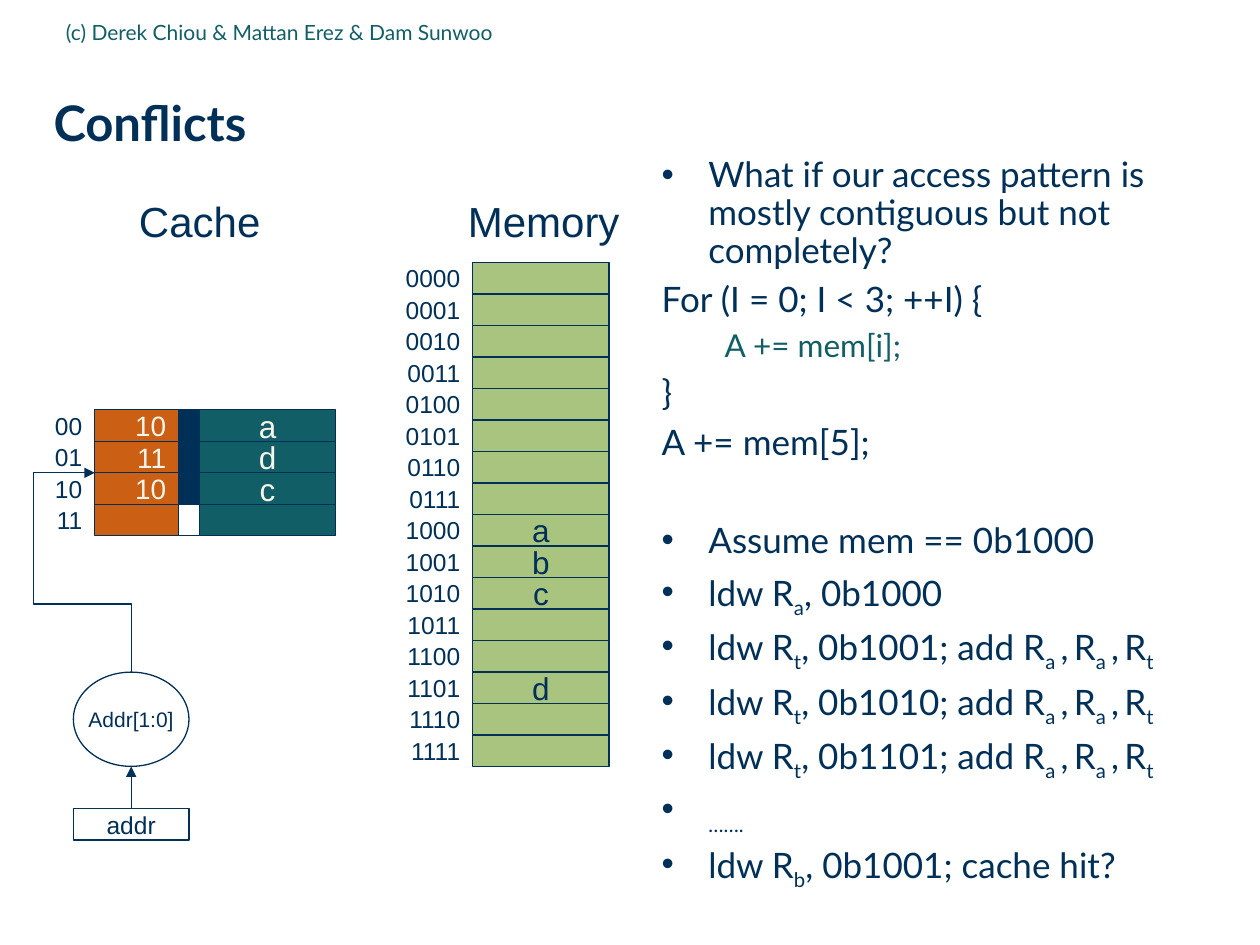
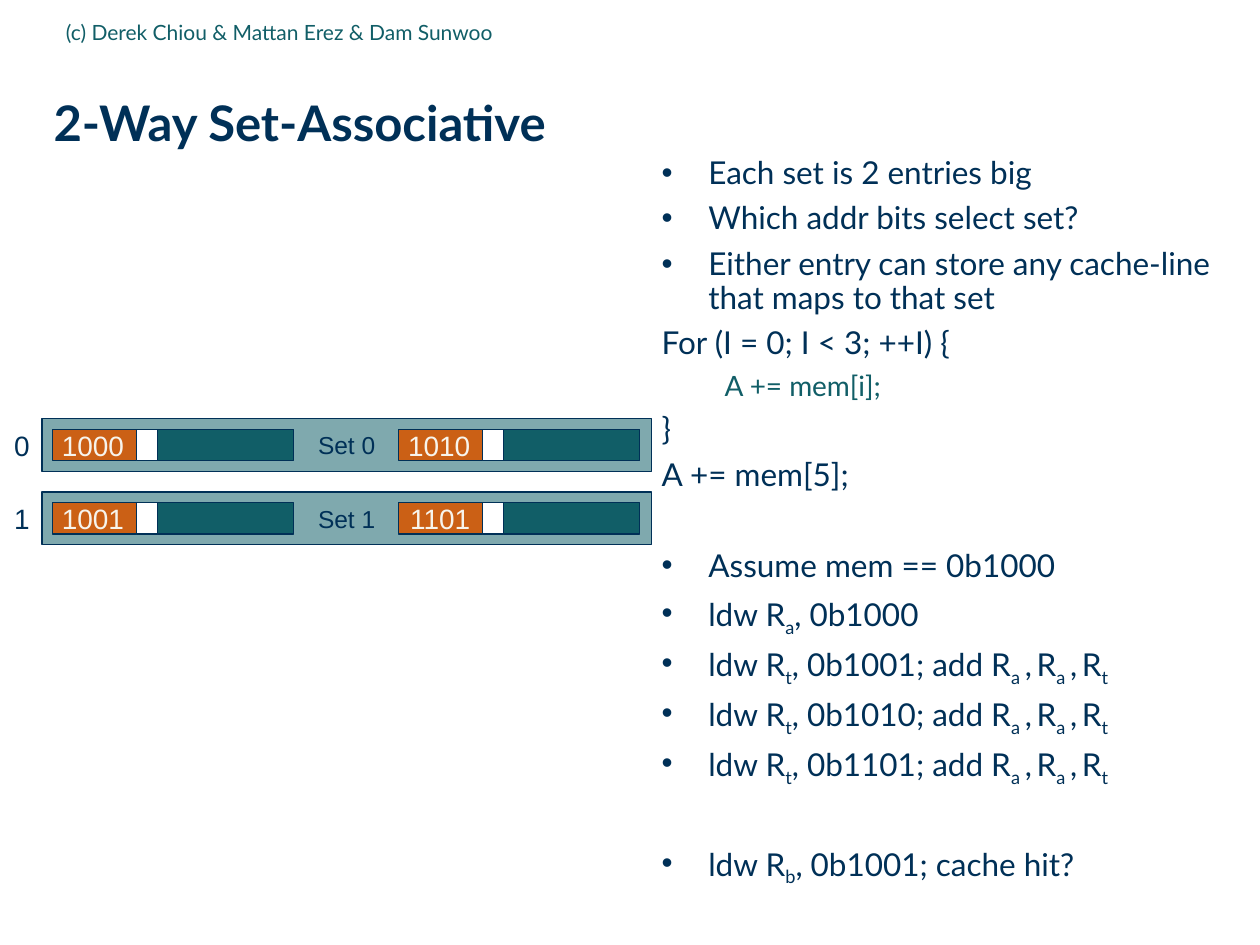
"""Two slides on cache conflicts and set associativity."""
from dataclasses import dataclass

import pptx
import pptx.dml.color
import pptx.enum.shapes
import pptx.enum.text
import pptx.oxml
import pptx.oxml.ns
import pptx.presentation
import pptx.shapes.connector
import pptx.slide
import pptx.text.text
import pptx.util

Cm = pptx.util.Cm
Pt = pptx.util.Pt
SHAPE = pptx.enum.shapes.MSO_SHAPE
CONNECTOR = pptx.enum.shapes.MSO_CONNECTOR
ALIGN = pptx.enum.text.PP_ALIGN
ANCHOR = pptx.enum.text.MSO_ANCHOR
Slide = pptx.slide.Slide

NAVY, TEAL, ORANGE = "003057", "115E67", "CB6015"
GREEN, MIST, CREAM, WHITE = "A9C47F", "7FA9AE", "F7F4EC", "FFFFFF"
HEADING_FONT, DIAGRAM_FONT = "Lato", "Arial"

# Diagram sizes in centimetres
ROW = 10.16 / 16
TAG_WIDTH, VALID_WIDTH, DATA_WIDTH = 1.69, 0.42, 2.75
CACHE_LEFT, CACHE_TOP = 1.91, 8.26
MEMORY_LEFT, MEMORY_TOP = 9.53, 5.29
ADDRESS_WIDTH = 2


@dataclass(frozen=True)
class Box:
    """A place on the slide, in centimetres."""
    left: float
    top: float
    width: float
    height: float

    def lengths(self) -> tuple:
        """Return left, top, width and height as lengths."""
        return Cm(self.left), Cm(self.top), Cm(self.width), Cm(self.height)


@dataclass(frozen=True)
class Line:
    """A paragraph of the notes column; ~x~ marks a subscript."""
    text: str
    bullet: bool = True
    nested: bool = False
    before: float = 6.5


@dataclass(frozen=True)
class Entry:
    """One cache entry: its tag, its data and whether it is marked valid."""
    tag: str = ""
    data: str = ""
    valid: bool = False


def rgb(value: str) -> pptx.dml.color.RGBColor:
    """Turn a hex string into a colour."""
    return pptx.dml.color.RGBColor.from_string(value)


def write(paragraph: pptx.text.text._Paragraph, text: str, *, size: float,
          font: str = DIAGRAM_FONT, color: str = NAVY, bold: bool = False,
          align: ALIGN = ALIGN.LEFT, spacing: float | None = None) -> None:
    """Write text into a paragraph, lowering the parts between tildes."""
    paragraph.alignment = align
    if spacing:
        paragraph.line_spacing = spacing
    for index, part in enumerate(text.split("~")):
        if not part:
            continue
        run = paragraph.add_run()
        run.text = part
        run.font.name, run.font.size, run.font.bold = font, Pt(size), bold
        run.font.color.rgb = rgb(color)
        if index % 2:
            run.font._element.set("baseline", "-25000")


def add_label(slide: Slide, box: Box, text: str, *, anchor: ANCHOR = ANCHOR.MIDDLE,
              wrap: bool = False, inset: bool = True, **text_format) -> None:
    """Add a one-paragraph text box."""
    frame = slide.shapes.add_textbox(*box.lengths()).text_frame
    frame.word_wrap, frame.vertical_anchor = wrap, anchor
    if not inset:
        clear_insets(frame)
    write(frame.paragraphs[0], text, **text_format)


def clear_insets(frame: pptx.text.text.TextFrame) -> None:
    """Remove the margins inside a text frame."""
    frame.margin_left = frame.margin_right = 0
    frame.margin_top = frame.margin_bottom = 0


def add_cell(slide: Slide, box: Box, fill: str | None = None, text: str = "",
             kind: SHAPE = SHAPE.RECTANGLE, align: ALIGN = ALIGN.CENTER,
             **text_format) -> None:
    """Add an outlined shape with optional fill and text."""
    cell = slide.shapes.add_shape(kind, *box.lengths())
    cell.shadow.inherit = False
    if fill:
        cell.fill.solid()
        cell.fill.fore_color.rgb = rgb(fill)
    else:
        cell.fill.background()
    cell.line.color.rgb, cell.line.width = rgb(NAVY), Pt(0.75)
    if text:
        cell.text_frame.word_wrap = False
        cell.text_frame.vertical_anchor = ANCHOR.MIDDLE
        write(cell.text_frame.paragraphs[0], text, align=align, **text_format)


def add_child(parent, tag: str, **attributes: str):
    """Append a DrawingML element and return it."""
    child = pptx.oxml.parse_xml(f"<{tag} {pptx.oxml.ns.nsdecls('a')}/>")
    for key, value in attributes.items():
        child.set(key, value)
    parent.append(child)
    return child


def add_arrow(slide: Slide, kind: CONNECTOR, start: tuple[float, float],
              end: tuple[float, float]) -> pptx.shapes.connector.Connector:
    """Add a connector with an arrowhead at its end."""
    arrow = slide.shapes.add_connector(kind, *(Cm(v) for v in start + end))
    arrow.line.color.rgb, arrow.line.width = rgb(NAVY), Pt(0.75)
    add_child(arrow.line._get_or_add_ln(), "a:tailEnd", type="triangle")
    add_child(arrow._element.spPr, "a:effectLst")
    return arrow


def add_index_arrow(slide: Slide, start: tuple[float, float],
                    end: tuple[float, float]) -> None:
    """Lead an arrow up, left, up and right into the cache."""
    middle_x, middle_y = (start[0] + end[0]) / 2, (start[1] + end[1]) / 2
    half_rise, half_run = (start[1] - end[1]) / 2, (start[0] - end[0]) / 2
    # Laid out sideways, then turned by a quarter
    arrow = add_arrow(slide, CONNECTOR.ELBOW,
                      (middle_x + half_rise, middle_y - half_run),
                      (middle_x - half_rise, middle_y + half_run))
    properties = arrow._element.spPr
    properties.find(pptx.oxml.ns.qn("a:xfrm")).set("rot", "5400000")
    geometry = properties.find(pptx.oxml.ns.qn("a:prstGeom"))
    geometry.set("prst", "bentConnector4")
    guides = geometry.find(pptx.oxml.ns.qn("a:avLst"))
    if guides is None:
        guides = add_child(geometry, "a:avLst")
    for name, value in (("adj1", 34200), ("adj2", 268000)):
        add_child(guides, "a:gd", name=name, fmla=f"val {value}")


def add_notes_column(slide: Slide, lines: list[Line], size: float) -> None:
    """Add the bulleted column on the right."""
    frame = slide.shapes.add_textbox(*Box(13.34, 3.17, 11.63, 14.6).lengths()).text_frame
    frame.word_wrap = True
    clear_insets(frame)
    for index, line in enumerate(lines):
        paragraph = frame.add_paragraph() if index else frame.paragraphs[0]
        paragraph.space_before = Pt(line.before)
        margin, hanging = (2.06, 0.79) if line.nested else (0.94, 0.94)
        properties = paragraph._p.get_or_add_pPr()
        properties.set("marL", str(Cm(margin)))
        properties.set("indent", str(-Cm(hanging)))
        if line.bullet:
            add_child(add_child(properties, "a:buClr"), "a:srgbClr", val=NAVY)
            add_child(properties, "a:buFont", typeface="Arial")
            add_child(properties, "a:buChar", char="•")
        else:
            add_child(properties, "a:buNone")
        write(paragraph, line.text, size=size - 2 if line.nested else size,
              font=HEADING_FONT, color=TEAL if line.nested else NAVY, spacing=0.9)


def add_entry(slide: Slide, left: float, top: float, entry: Entry) -> None:
    """Draw a cache entry as tag, valid bit and data."""
    add_cell(slide, Box(left, top, TAG_WIDTH, ROW), ORANGE, entry.tag,
             align=ALIGN.RIGHT, size=16, color=CREAM)
    left += TAG_WIDTH
    add_cell(slide, Box(left, top, VALID_WIDTH, ROW), NAVY if entry.valid else WHITE)
    left += VALID_WIDTH
    add_cell(slide, Box(left, top, DATA_WIDTH, ROW), TEAL, entry.data,
             size=18, color=CREAM)


def add_slide(deck: pptx.presentation.Presentation, title: str) -> Slide:
    """Add a blank slide with the title and the credit line."""
    slide = deck.slides.add_slide(deck.slide_layouts[6])
    add_label(slide, Box(1.08, 1.25, 23.9, 2.49), title, wrap=True, inset=False,
              size=28, font=HEADING_FONT, bold=True, spacing=0.99)
    add_label(slide, Box(1.08, 0.06, 14.4, 1.17),
              "(c) Derek Chiou & Mattan Erez & Dam Sunwoo", wrap=True,
              size=12, font=HEADING_FONT, color=TEAL)
    return slide


def add_memory(slide: Slide, contents: dict[int, str]) -> None:
    """Draw the sixteen memory words with their addresses."""
    add_label(slide, Box(9.17, 3.81, 3.58, 1.27), "Memory", anchor=ANCHOR.TOP,
              wrap=True, size=24, align=ALIGN.CENTER)
    for address in range(16):
        top = MEMORY_TOP + address * ROW
        add_cell(slide, Box(MEMORY_LEFT, top, DATA_WIDTH, ROW), GREEN,
                 contents.get(address, ""), size=18)
        add_label(slide, Box(MEMORY_LEFT - ADDRESS_WIDTH, top, ADDRESS_WIDTH, ROW),
                  f"{address:04b}", size=14, align=ALIGN.RIGHT)


def add_direct_cache(slide: Slide, entries: list[Entry]) -> None:
    """Draw the direct-mapped cache and the address that indexes it."""
    add_label(slide, Box(2.54, 3.81, 2.97, 1.27), "Cache", anchor=ANCHOR.TOP,
              size=24, align=ALIGN.CENTER)
    for index, entry in enumerate(entries):
        top = CACHE_TOP + index * ROW
        add_label(slide, Box(CACHE_LEFT - 1.06, top, 1.06, ROW), f"{index:02b}",
                  size=14, align=ALIGN.RIGHT)
        add_entry(slide, CACHE_LEFT, top, entry)
    address = Box(1.48, 16.3, 2.33, ROW)
    index_bits = Box(1.48, 13.55, 2.33, 1.9)
    centre = address.left + address.width / 2
    add_cell(slide, address, text="addr", size=14)
    add_cell(slide, index_bits, text="Addr[1:0]", kind=SHAPE.OVAL, size=12)
    add_arrow(slide, CONNECTOR.STRAIGHT, (centre, address.top),
              (centre, index_bits.top + index_bits.height))
    add_index_arrow(slide, (centre, index_bits.top), (CACHE_LEFT, CACHE_TOP + 2 * ROW))


def add_sets(slide: Slide, sets: list[list[str]]) -> None:
    """Draw each set as a band that holds its two entries."""
    for index, tags in enumerate(sets):
        band = Box(0.85, 8.44 + index * 1.48, 12.28, 1.06)
        add_cell(slide, band, MIST, f"Set {index}", size=14)
        add_label(slide, Box(0, band.top, band.left, band.height), str(index),
                  size=16, align=ALIGN.RIGHT)
        for way, tag in enumerate(tags):
            add_entry(slide, 1.06 + way * 6.98, band.top + (band.height - ROW) / 2,
                      Entry(tag))


def code_lines(gap: float) -> list[Line]:
    """Return the loop and the loads it turns into, parted by a gap."""
    loads = [Line(f"ldw R~t~, 0b{address}; add R~a ~,~ ~R~a ~,~ ~R~t~")
             for address in ("1001", "1010", "1101")]
    return [Line("For (I = 0; I < 3; ++I) {", bullet=False),
            Line("A += mem[i];", bullet=False, nested=True, before=6),
            Line("}", bullet=False),
            Line("A += mem[5];", bullet=False),
            Line("Assume mem == 0b1000", before=gap),
            Line("ldw R~a~, 0b1000"), *loads]


LAST_LOAD = "ldw R~b~, 0b1001; cache hit?"

deck = pptx.Presentation()
deck.slide_width, deck.slide_height = Cm(25.4), Cm(19.05)

conflicts = add_slide(deck, "Conflicts")
add_notes_column(conflicts, [
    Line("What if our access pattern is mostly contiguous but not completely?"),
    *code_lines(gap=34.5), Line("~…….~"), Line(LAST_LOAD)], size=20)
add_memory(conflicts, {0b1000: "a", 0b1001: "b", 0b1010: "c", 0b1101: "d"})
add_direct_cache(conflicts, [Entry("10", "a", True), Entry("11", "d", True),
                             Entry("10", "c", True), Entry()])

associative = add_slide(deck, "2-Way Set-Associative")
add_notes_column(associative, [
    Line("Each set is 2 entries big"),
    Line("Which addr bits select set?"),
    Line("Either entry can store any cache-line that maps to that set"),
    *code_lines(gap=32.5), Line(LAST_LOAD, before=35)], size=18)
add_sets(associative, [["1000", "1010"], ["1001", "1101"]])

deck.save("out.pptx")
